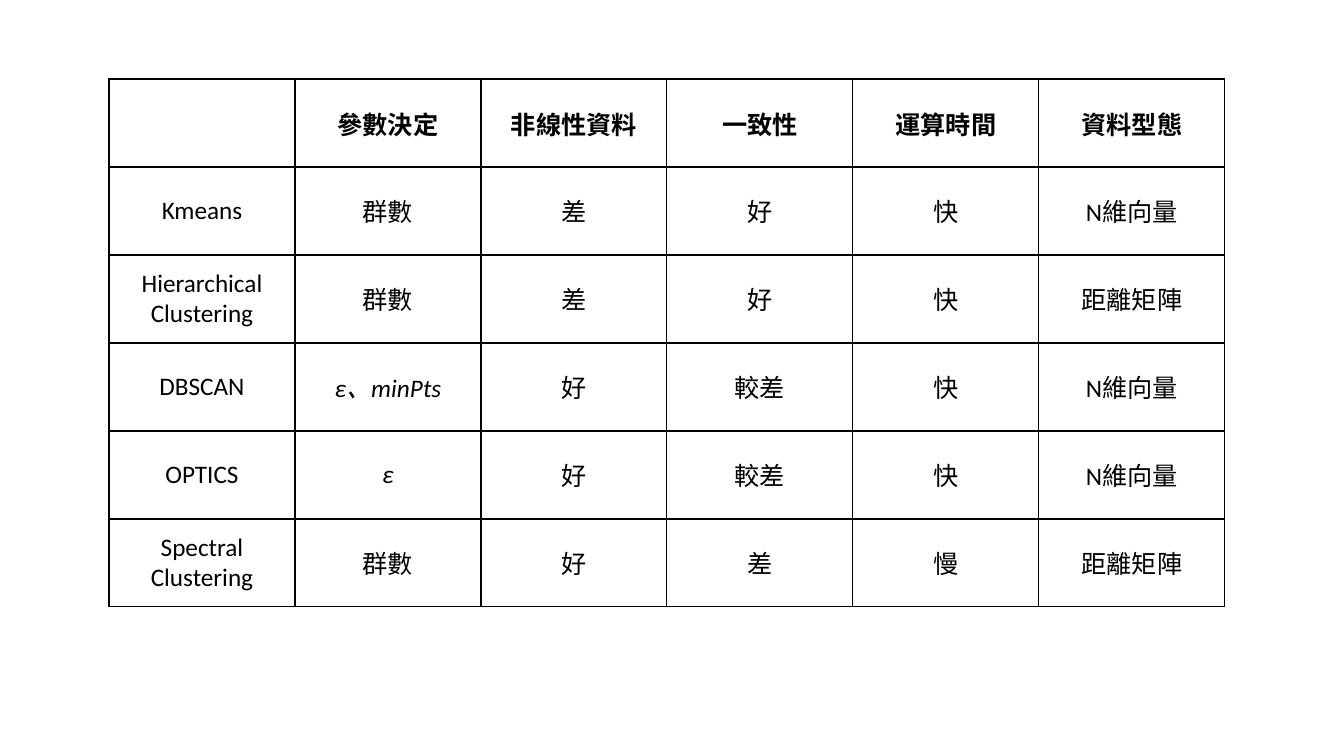
from dataclasses import dataclass

from lxml.etree import SubElement
from pptx import Presentation
from pptx.dml.color import RGBColor
from pptx.enum.text import MSO_ANCHOR, PP_ALIGN
from pptx.oxml.ns import qn
from pptx.util import Pt

SCALE = 914400 / 100.8


@dataclass(frozen=True)
class Theme:
    font: str = "Calibri"
    size: int = 18
    ink: str = "000000"
    paper: str = "FFFFFF"
    border: int = 1


theme = Theme()


def px(length):
    return round(length * SCALE)


def draw_borders(cell):
    properties = cell._tc.get_or_add_tcPr()
    for position, side in enumerate(("lnL", "lnR", "lnT", "lnB")):
        line = SubElement(properties, qn(f"a:{side}"), w=str(Pt(theme.border)))
        fill = SubElement(line, qn("a:solidFill"))
        SubElement(fill, qn("a:srgbClr"), val=theme.ink)
        properties.remove(line)
        properties.insert(position, line)  # borders come before the cell fill


# Comparison of clustering methods
comparison = [
    ["", "參數決定", "非線性資料", "一致性", "運算時間", "資料型態"],
    ["Kmeans", "群數", "差", "好", "快", "N維向量"],
    ["Hierarchical\nClustering", "群數", "差", "好", "快", "距離矩陣"],
    ["DBSCAN", "ε、minPts", "好", "較差", "快", "N維向量"],
    ["OPTICS", "ε", "好", "較差", "快", "N維向量"],
    ["Spectral\nClustering", "群數", "好", "差", "慢", "距離矩陣"],
]

# Page
deck = Presentation()
deck.slide_width, deck.slide_height = px(1344), px(756)
page = deck.slides.add_slide(deck.slide_layouts[6])

# Table grid
row_count, column_count = len(comparison), len(comparison[0])
frame = page.shapes.add_table(
    row_count, column_count, px(109), px(79), px(186 * column_count), px(88 * row_count)
)
table = frame.table
table.horz_banding = False

# Cells
for row, texts in enumerate(comparison):
    for column, text in enumerate(texts):
        cell = table.cell(row, column)
        cell.text = text
        cell.vertical_anchor = MSO_ANCHOR.MIDDLE
        cell.fill.solid()
        cell.fill.fore_color.rgb = RGBColor.from_string(theme.paper)
        draw_borders(cell)
        for para in cell.text_frame.paragraphs:
            para.alignment = PP_ALIGN.CENTER
            para.font.name = theme.font
            para.font.size = Pt(theme.size)
            para.font.bold = row == 0
            para.font.italic = text.startswith("ε")
            para.font.color.rgb = RGBColor.from_string(theme.ink)

deck.save("out.pptx")
